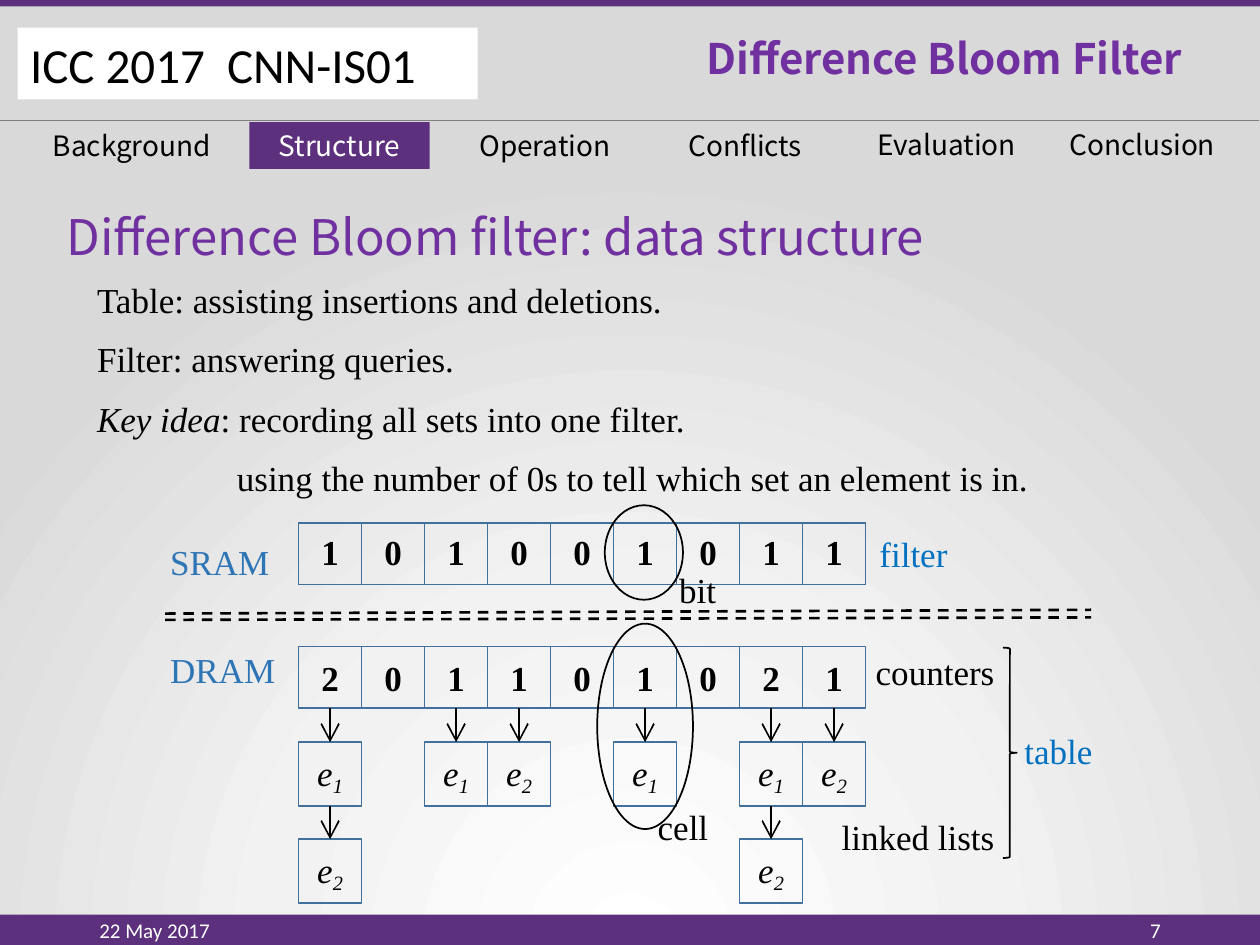
from lxml.etree import SubElement
from pptx import Presentation
from pptx.dml.color import RGBColor
from pptx.enum.dml import MSO_LINE
from pptx.enum.shapes import MSO_CONNECTOR, MSO_SHAPE
from pptx.enum.text import MSO_ANCHOR, PP_ALIGN
from pptx.oxml import parse_xml
from pptx.oxml.ns import nsdecls, qn
from pptx.util import Inches, Pt

PURPLE = RGBColor(0x5C, 0x30, 0x7D)
VIOLET = RGBColor(0x70, 0x30, 0xA0)
STEEL = RGBColor(0x41, 0x70, 0x9C)
BLUE = RGBColor(0x2E, 0x75, 0xB6)
BRIGHT_BLUE = RGBColor(0x00, 0x70, 0xC0)
GRAY = RGBColor(0x80, 0x80, 0x80)
BLACK = RGBColor(0, 0, 0)
WHITE = RGBColor(0xFF, 0xFF, 0xFF)
SANS, SERIF, CALIBRI = "Noto Sans CJK SC", "Times New Roman", "Calibri"

prs = Presentation()
prs.slide_width, prs.slide_height = Inches(10), Inches(7.5)
slide = prs.slides.add_slide(prs.slide_layouts[1])
shapes = slide.shapes


def add_run(paragraph, text, size, font, color, bold=False, italic=False):
    run = paragraph.add_run()
    run.text = text
    run.font.size, run.font.name = Pt(size), font
    run.font.color.rgb = color
    run.font.bold, run.font.italic = bold, italic
    return run


def add_box(left, top, width, height, fill=None, line=None, kind=MSO_SHAPE.RECTANGLE, margin=None):
    """Add a shape, or a text box when kind is None; colours of None mean no paint."""
    place = [Inches(v) for v in (left, top, width, height)]
    if kind is None:
        box = shapes.add_textbox(*place)
    else:
        box = shapes.add_shape(kind, *place)
        box.shadow.inherit = False
        if fill is None:
            box.fill.background()
        else:
            box.fill.solid()
            box.fill.fore_color.rgb = fill
        if line is None:
            box.line.fill.background()
        else:
            box.line.color.rgb = line
            box.line.width = Pt(1)
    frame = box.text_frame
    frame.word_wrap = True
    if margin is not None:
        frame.margin_left = frame.margin_right = Inches(margin)
        frame.margin_top = frame.margin_bottom = Inches(margin)
    return box


# Background gradient, brightest below the slide
slide.background.fill.solid()
bg_fill = slide.background.fill._xPr
bg_fill.replace(bg_fill[0], parse_xml(
    f'<a:gradFill {nsdecls("a")} rotWithShape="1"><a:gsLst>'
    '<a:gs pos="0"><a:srgbClr val="FFFFFF"/></a:gs>'
    '<a:gs pos="46000"><a:srgbClr val="F2F2F2"/></a:gs>'
    '<a:gs pos="100000"><a:srgbClr val="D9D9D9"/></a:gs></a:gsLst>'
    '<a:path path="circle"><a:fillToRect l="50000" t="130000" r="50000" b="-30000"/></a:path>'
    '</a:gradFill>'))

# Header and footer bands
add_box(0, 0, 10, 0.05, PURPLE)
add_box(0, 7.26, 10, 0.24, PURPLE)
conference = add_box(0.14, 0.22, 3.65, 0.57, WHITE).text_frame.paragraphs[0]
conference.alignment = PP_ALIGN.LEFT
add_run(conference, "ICC 2017  CNN-IS01", 28, CALIBRI, BLACK)
talk = add_box(5.51, 0.21, 4.52, 0.5, kind=None).text_frame.paragraphs[0]
add_run(talk, "Difference Bloom Filter", 24, SANS, VIOLET, bold=True)
for text, left, align in [("22 May 2017", 0.69, PP_ALIGN.LEFT), ("7", 7.06, PP_ALIGN.RIGHT)]:
    footer = add_box(left, 7.18, 2.25, 0.4, kind=None).text_frame
    footer.vertical_anchor = MSO_ANCHOR.MIDDLE
    footer.paragraphs[0].alignment = align
    add_run(footer.paragraphs[0], text, 12, CALIBRI, WHITE)

# Navigation
sections = [("Background", 0.3, 0.97, 1.49), ("Structure", 1.98, 0.97, 1.43),
            ("Operation", 3.68, 0.97, 1.29), ("Conflicts", 5.35, 0.97, 1.13),
            ("Evaluation", 6.86, 0.96, 1.31), ("Conclusion", 8.37, 0.96, 1.39)]
for text, left, top, width in sections:
    current = text == "Structure"
    section = add_box(left, top, width, 0.37, PURPLE if current else None,
                      kind=MSO_SHAPE.RECTANGLE if current else None).text_frame
    section.word_wrap = current
    section.paragraphs[0].alignment = PP_ALIGN.CENTER
    add_run(section.paragraphs[0], text, 16, SANS, WHITE if current else BLACK)

# Heading and key points
heading = shapes.title
heading.left, heading.top, heading.width, heading.height = (
    Inches(0.43), Inches(1.59), Inches(9.02), Inches(0.66))
heading.text_frame.vertical_anchor = MSO_ANCHOR.TOP
heading.text_frame.paragraphs[0].alignment = PP_ALIGN.LEFT
add_run(heading.text_frame.paragraphs[0], "Difference Bloom filter: data structure", 28, SANS, VIOLET)

points = slide.placeholders[1]
points.left, points.top, points.width, points.height = (
    Inches(0.67), Inches(2.24), Inches(8.62), Inches(1.92))
point_lines = [(0, "", "Table: assisting insertions and deletions."),
               (0, "", "Filter: answering queries."),
               (0, "Key idea", ": recording all sets into one filter."),
               (1.11, "", "using the number of 0s to tell which set an element is in.")]
for i, (indent, lead, rest) in enumerate(point_lines):
    frame = points.text_frame
    point = frame.add_paragraph() if i else frame.paragraphs[0]
    point.line_spacing, point.space_before, point.space_after = Pt(18), Pt(10), Pt(6)
    pPr = point._p.get_or_add_pPr()
    pPr.set("marL", str(Inches(indent)))
    pPr.set("indent", "0")
    SubElement(pPr, qn("a:buNone"))
    if lead:
        add_run(point, lead, 20, SERIF, BLACK, italic=True)
    add_run(point, rest, 20, SERIF, BLACK)

# Filter bits in SRAM
GRID_LEFT, CELL = 2.37, 0.5
bits = "101001011"
bit_table = shapes.add_table(1, len(bits), Inches(GRID_LEFT), Inches(4.15),
                             Inches(CELL * len(bits)), Inches(0.49)).table
bit_table.first_row = bit_table.horz_banding = False
for cell, bit in zip(bit_table.iter_cells(), bits):
    cell.fill.background()
    cell.margin_left = cell.margin_right = cell.margin_top = cell.margin_bottom = 0
    cell.vertical_anchor = MSO_ANCHOR.MIDDLE
    cell.text_frame.paragraphs[0].alignment = PP_ALIGN.CENTER
    add_run(cell.text_frame.paragraphs[0], bit, 20, SERIF, BLACK, bold=True)
    for i, side in enumerate("LRTB"):
        cell._tc.get_or_add_tcPr().insert(i, parse_xml(
            f'<a:ln{side} {nsdecls("a")} w="12700"><a:solidFill><a:srgbClr val="{STEEL}"/>'
            f'</a:solidFill></a:ln{side}>'))

# Counters in DRAM
counters = []
for column, count in enumerate("201101021"):
    counter = add_box(GRID_LEFT + column * CELL, 5.13, CELL, 0.49, line=STEEL, margin=0)
    counter.text_frame.paragraphs[0].alignment = PP_ALIGN.CENTER
    add_run(counter.text_frame.paragraphs[0], count, 20, SERIF, BLACK, bold=True)
    counters.append(counter)

# Linked lists hanging from the counters
connectors = []
for column, elements in [(0, "12"), (2, "1"), (3, "2"), (5, "1"), (7, "12"), (8, "2")]:
    above = counters[column]
    for depth, index in enumerate(elements):
        node = add_box(GRID_LEFT + column * CELL, 5.89 + depth * 0.77, CELL, 0.51,
                       line=STEEL, margin=0)
        label = node.text_frame.paragraphs[0]
        label.alignment = PP_ALIGN.CENTER
        add_run(label, "e", 20, SERIF, BLACK, italic=True)
        subscript = add_run(label, index, 20, SERIF, BLACK, italic=True)
        subscript.font._element.set("baseline", "-21000")
        arrow = shapes.add_connector(MSO_CONNECTOR.STRAIGHT, 0, 0, 0, 0)
        arrow.begin_connect(above, 2)
        arrow.end_connect(node, 0)
        arrow.line.color.rgb, arrow.line.width = BLACK, Pt(1)
        SubElement(arrow.line._get_or_add_ln(), qn("a:tailEnd"), type="arrow", w="lg", len="lg")
        connectors.append(arrow)
        above = node

# Header rule and the double divider between SRAM and DRAM
for x1, y1, x2, y2, color, width, dash in [
        (0, 0.96, 9.99, 0.96, GRAY, 0.5, None),
        (1.31, 4.87, 8.66, 4.84, BLACK, 1.5, MSO_LINE.DASH),
        (1.31, 4.92, 8.66, 4.9, BLACK, 1.5, MSO_LINE.DASH)]:
    rule = shapes.add_connector(MSO_CONNECTOR.STRAIGHT, Inches(x1), Inches(y1), Inches(x2), Inches(y2))
    rule.line.color.rgb, rule.line.width = color, Pt(width)
    if dash:
        rule.line.dash_style = dash
    connectors.append(rule)
for connector in connectors:
    SubElement(connector._element.spPr, qn("a:effectLst"))

# Rings around one bit and one cell, brace over the table parts
add_box(4.8, 4.01, 0.62, 0.75, line=BLACK, kind=MSO_SHAPE.OVAL)
add_box(4.74, 4.95, 0.76, 1.63, line=BLACK, kind=MSO_SHAPE.OVAL)
add_box(7.96, 5.14, 0.11, 1.67, line=BLACK, kind=MSO_SHAPE.RIGHT_BRACE)

# Captions
for text, left, top, width, color in [
        ("SRAM", 1.35, 4.29, 0.86, BLUE), ("DRAM", 1.35, 5.15, 0.96, BLUE),
        ("filter", 6.98, 4.23, 0.86, BRIGHT_BLUE), ("table", 8.13, 5.79, 0.57, BRIGHT_BLUE),
        ("bit", 5.39, 4.51, 1.33, BLACK), ("cell", 5.22, 6.39, 0.62, BLACK),
        ("counters", 6.95, 5.16, 1.01, BLACK), ("linked lists", 6.68, 6.47, 1.27, BLACK)]:
    caption = add_box(left, top, width, 0.34, kind=None, margin=0)
    add_run(caption.text_frame.paragraphs[0], text, 20, SERIF, color)

prs.save("out.pptx")
